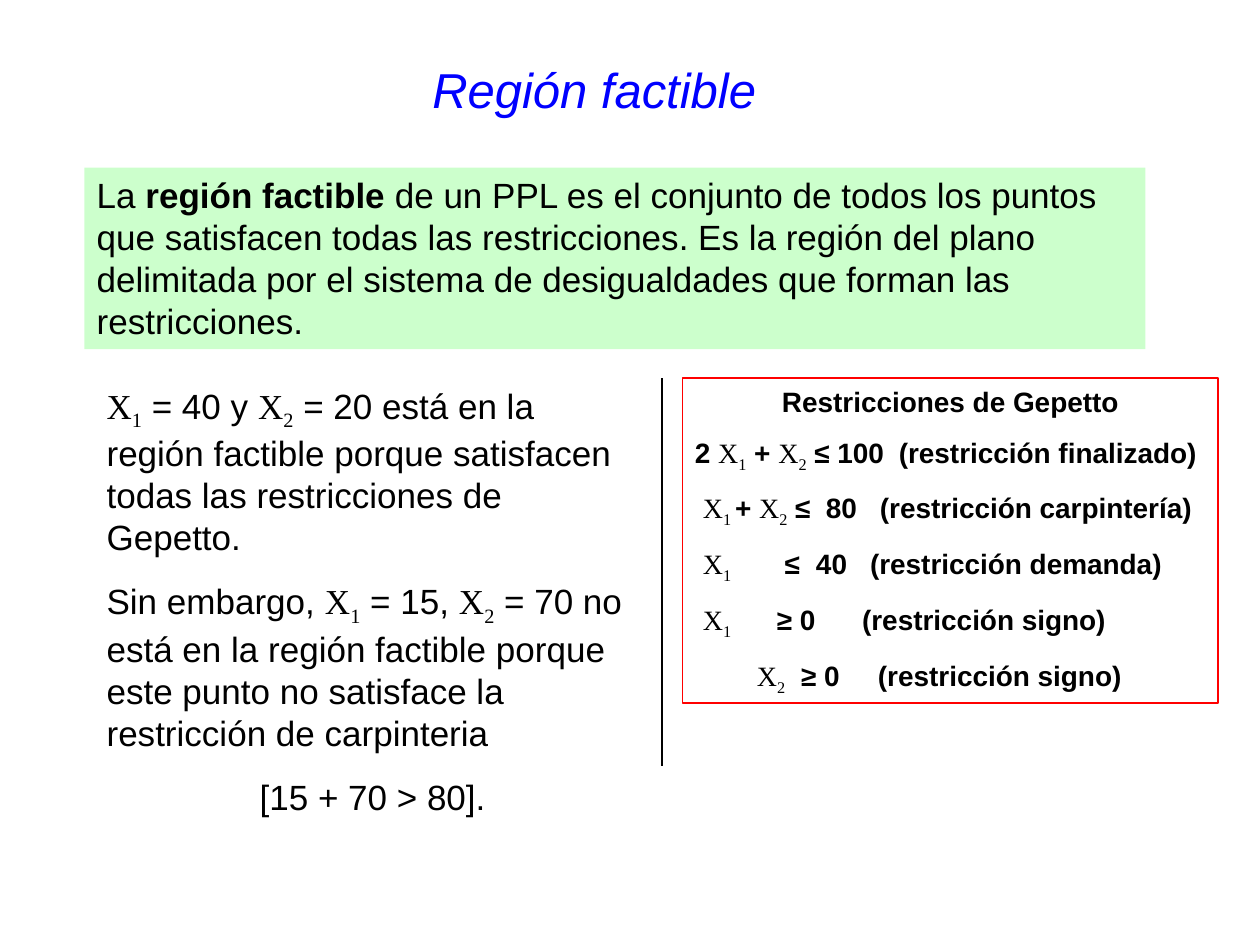
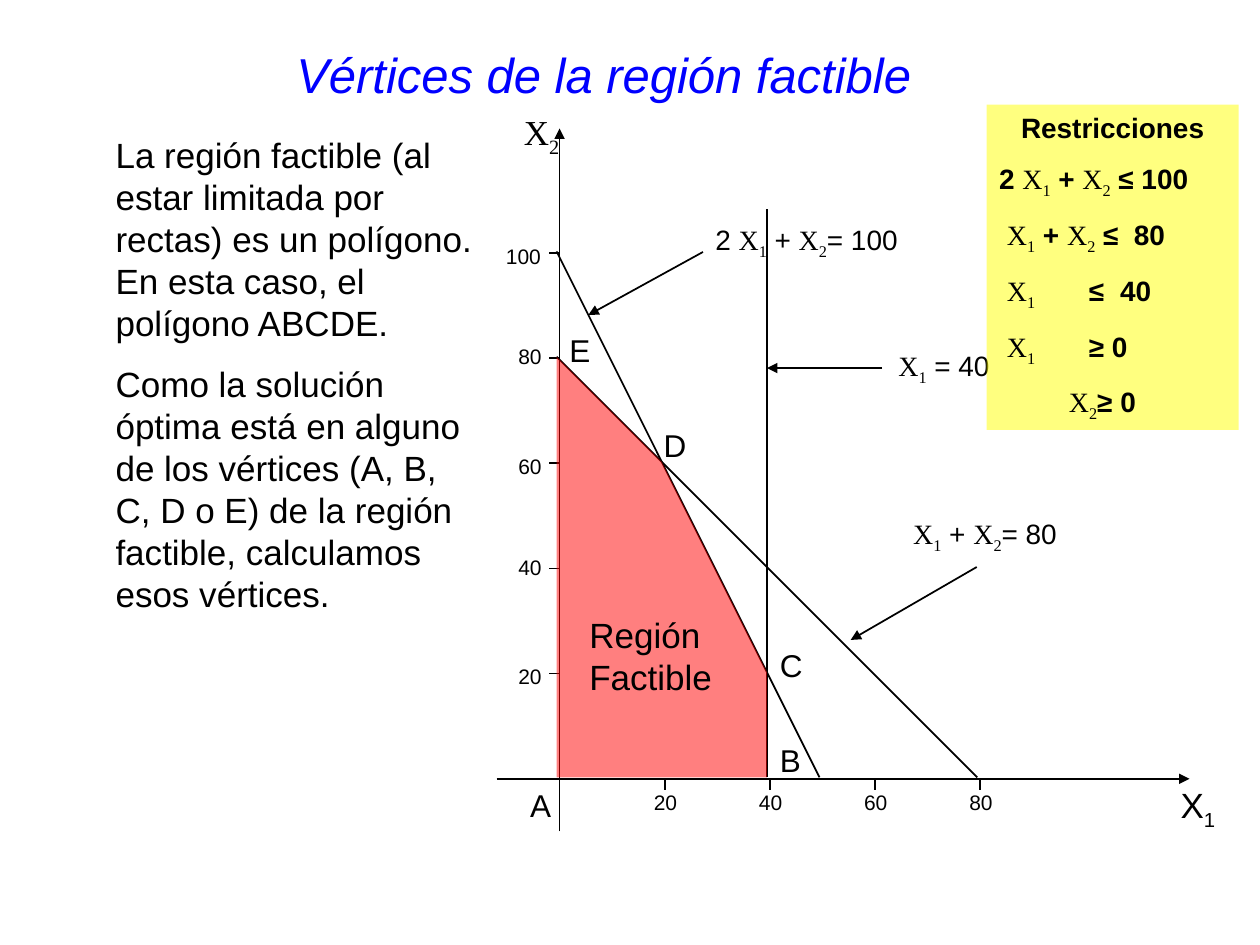
"""Builds two slides on the feasible region of a linear programme."""
import pptx
import pptx.dml.color
import pptx.enum.shapes
import pptx.enum.text
import pptx.oxml.ns
import pptx.util
from lxml import etree

Cm = pptx.util.Cm
Pt = pptx.util.Pt

COLORS = {
    "text": "000000",
    "title": "0000FF",
    "definition": "00FF00",
    "frame": "FF0000",
    "region": "FF0000",
    "constraints": "FFFF00",
}
TEXT_FONT = "Arial"
VARIABLE_FONT = "Times New Roman"

AXIS_X, AXIS_Y = 11.28, 15.7
PLOT_X, PLOT_Y = 11.22, 15.67
TICK_STEP = 2.12
TICK_LENGTH = 0.22


def rgb(name):
    """Return the named colour."""
    return pptx.dml.color.RGBColor.from_string(COLORS[name])


def add_element(parent, tag, **attributes):
    """Append a DrawingML element to a parent."""
    return etree.SubElement(parent, pptx.oxml.ns.qn(tag), **attributes)


def add_run(paragraph, text, size, font=TEXT_FONT, bold=False, subscript=False):
    """Add one formatted run to a paragraph."""
    run = paragraph.add_run()
    run.text = text
    run.font.size = Pt(size)
    run.font.name = font
    run.font.bold = bold
    run.font.color.rgb = rgb("text")
    if subscript:
        run.font._element.set("baseline", "-25000")


def write_paragraph(paragraph, text, size, bold=False, variable_font=VARIABLE_FONT):
    """Write text in which |1| is the variable X1 and |word| is a bold word."""
    for index, piece in enumerate(text.split("|")):
        if index % 2 and piece.strip().isdigit():
            add_run(paragraph, "X", size, variable_font)
            add_run(paragraph, piece, size, variable_font, subscript=True)
        elif piece:
            add_run(paragraph, piece, size, bold=bold or index % 2 == 1)


def write_lines(shape, lines, size, space=0, wrap=True, **style):
    """Fill a shape with one paragraph per line and return the paragraphs."""
    frame = shape.text_frame
    frame.word_wrap = wrap
    frame.auto_size = pptx.enum.text.MSO_AUTO_SIZE.SHAPE_TO_FIT_TEXT
    frame.vertical_anchor = pptx.enum.text.MSO_ANCHOR.TOP
    for index, line in enumerate(lines):
        paragraph = frame.add_paragraph() if index else frame.paragraphs[0]
        paragraph.alignment = pptx.enum.text.PP_ALIGN.LEFT
        if index:
            paragraph.space_before = Pt(space)
        write_paragraph(paragraph, line, size, **style)
    return list(frame.paragraphs)


def add_text(slide, box, lines, size, **options):
    """Add a text box given as left, top, width and height in centimetres."""
    shape = slide.shapes.add_textbox(*map(Cm, box))
    return write_lines(shape, lines, size, **options)


def set_fill(shape, color, opacity):
    """Give a shape a translucent fill."""
    shape.fill.solid()
    shape.fill.fore_color.rgb = rgb(color)
    color_element = shape._element.spPr.find(".//" + pptx.oxml.ns.qn("a:srgbClr"))
    add_element(color_element, "a:alpha", val=str(opacity * 1000))


def add_panel(slide, box, fill=None, opacity=100, line=None):
    """Add a rectangle with an optional fill and outline."""
    shape = slide.shapes.add_shape(pptx.enum.shapes.MSO_SHAPE.RECTANGLE, *map(Cm, box))
    shape.shadow.inherit = False
    if line:
        shape.line.color.rgb = rgb(line)
        shape.line.width = Pt(1)
    else:
        shape.line.fill.background()
    if fill:
        set_fill(shape, fill, opacity)
    else:
        shape.fill.background()
    return shape


def add_line(slide, start, end, arrow=False):
    """Add a thin black line, with an arrowhead at its end if asked."""
    connector = slide.shapes.add_connector(
        pptx.enum.shapes.MSO_CONNECTOR.STRAIGHT, *map(Cm, (*start, *end)))
    connector.line.color.rgb = rgb("text")
    connector.line.width = Pt(1)
    if arrow:
        add_element(connector.line._get_or_add_ln(), "a:tailEnd", type="triangle")
    add_element(connector._element.spPr, "a:effectLst")


def add_constraints(shape, heading, rows):
    """Write a centred heading and rows, each with its tab stops in centimetres."""
    lines = [heading] + [text for text, stops in rows]
    paragraphs = write_lines(shape, lines, 16, space=10, bold=True)
    paragraphs[0].alignment = pptx.enum.text.PP_ALIGN.CENTER
    for paragraph, (text, stops) in zip(paragraphs[1:], rows):
        tab_list = add_element(paragraph._p.get_or_add_pPr(), "a:tabLst")
        for stop in stops:
            add_element(tab_list, "a:tab", pos=str(Cm(stop)), algn="l")


def add_titled_slide(presentation, title, box):
    """Add a title-only slide with its title placed and formatted."""
    slide = presentation.slides.add_slide(presentation.slide_layouts[5])
    shape = slide.shapes.title
    shape.left, shape.top, shape.width, shape.height = map(Cm, box)
    frame = shape.text_frame
    frame.text = title
    frame.word_wrap = True
    frame.auto_size = pptx.enum.text.MSO_AUTO_SIZE.NONE
    frame.vertical_anchor = pptx.enum.text.MSO_ANCHOR.TOP
    paragraph = frame.paragraphs[0]
    paragraph.alignment = pptx.enum.text.PP_ALIGN.LEFT
    font = paragraph.runs[0].font
    font.name = TEXT_FONT
    font.size = Pt(28)
    font.italic = True
    font.color.rgb = rgb("title")
    return slide


def plot_point(x1, x2):
    """Turn plot values into centimetres on the slide."""
    scale = TICK_STEP / 20
    return PLOT_X + x1 * scale, PLOT_Y - x2 * scale


def add_axes(slide):
    """Draw both axes with ticks, numbers and names."""
    add_line(slide, (AXIS_X, 16.76), (AXIS_X, 2.59), arrow=True)
    add_line(slide, (10.01, AXIS_Y), (23.98, AXIS_Y), arrow=True)
    for index in range(1, 5):
        x = AXIS_X + index * TICK_STEP
        add_line(slide, (x, AXIS_Y), (x, AXIS_Y + TICK_LENGTH))
        add_text(slide, (x - 0.47, 15.8, 1.1, 0.76), [str(20 * index)], 12, wrap=False)
    for index, top in enumerate((13.26, 11.05, 9.02, 6.81, 4.78), 1):
        y = AXIS_Y - index * TICK_STEP
        number = str(20 * index)
        width = 0.97 if len(number) == 2 else 1.22
        add_line(slide, (AXIS_X, y), (AXIS_X - TICK_LENGTH, y))
        add_text(slide, (11.17 - width, top, width + 0.1, 0.76), [number], 12,
                 wrap=False)
    add_text(slide, (10.31, 2.11, 1.5, 1.22), ["|2|"], 20, wrap=False)
    add_text(slide, (23.55, 15.67, 1.6, 1.22), ["|1|"], 20, wrap=False,
             variable_font=TEXT_FONT)


def add_region(slide, vertices):
    """Draw the feasible region through its vertices."""
    points = [tuple(map(Cm, plot_point(*vertex))) for vertex in vertices]
    builder = slide.shapes.build_freeform(*points[0])
    builder.add_line_segments(points[1:], close=True)
    region = builder.convert_to_shape()
    region.shadow.inherit = False
    region.line.fill.background()
    set_fill(region, "region", 50)


def build_definition_slide(presentation):
    """Build the slide that defines the feasible region."""
    slide = add_titled_slide(presentation, "Región factible", (8.46, 1.07, 8.89, 1.57))
    examples = add_text(slide, (1.9, 7.62, 11.23, 8.99), [
        "|1| = 40 y |2| = 20 está en la región factible porque satisfacen todas "
        "las restricciones de Gepetto.",
        "Sin embargo, |1| = 15, |2| = 70 no está en la región factible porque este "
        "punto no satisface la restricción de carpinteria",
        "[15 + 70 > 80].",
    ], 20, space=12.5)
    examples[-1].alignment = pptx.enum.text.PP_ALIGN.CENTER

    panel = add_panel(slide, (13.76, 7.62, 10.8, 6.56), line="frame")
    add_constraints(panel, "Restricciones de Gepetto", [
        ("2 |1| + |2| ≤ 100\t(restricción finalizado)", [4.11]),
        ("\t|1 |+ |2| ≤\t80\t(restricción carpintería)", [0.16, 2.64, 3.73]),
        ("\t|1|\t≤\t40\t(restricción demanda)", [0.16, 1.81, 2.44, 3.53]),
        ("\t|1|\t≥ 0\t(restricción signo)", [0.16, 1.65, 3.37]),
        ("\t|2|\t≥ 0\t(restricción signo)", [1.25, 2.14, 3.69]),
    ])

    definition = add_panel(slide, (1.7, 3.38, 21.39, 3.66), "definition", 20)
    write_lines(definition, [
        "La |región factible| de un PPL es el conjunto de todos los puntos que "
        "satisfacen todas las restricciones. Es la región del plano delimitada por "
        "el sistema de desigualdades que forman las restricciones."], 20)
    add_line(slide, (13.34, 7.62), (13.34, 15.44))


def build_vertices_slide(presentation):
    """Build the slide that plots the region and its vertices."""
    slide = add_titled_slide(
        presentation, "Vértices de la región factible", (5.72, 0.76, 13.77, 1.78))
    add_axes(slide)

    for start, end in (((50, 0), (0, 100)), ((80, 0), (0, 80)), ((40, 0), (40, 108))):
        add_line(slide, plot_point(*start), plot_point(*end))
    callouts = [
        ("2 |1| + |2|= 100", (14.17, 4.37, 4.6, 1.04), (14.17, 5.08), (11.86, 6.35)),
        ("|1| + |2|= 80", (18.16, 10.29, 4.47, 1.04), (19.69, 11.43), (17.15, 12.9)),
        ("|1| = 40", (17.86, 6.91, 2.6, 1.04), (17.78, 7.42), (15.46, 7.42)),
    ]
    for equation, box, start, end in callouts:
        add_text(slide, box, [equation], 16, wrap=False)
        add_line(slide, start, end, arrow=True)

    add_region(slide, [(0, 0), (0, 80), (20, 60), (40, 20), (40, 0)])
    add_text(slide, (11.63, 12.24, 3.6, 1.96), ["Región", "Factible"], 20, wrap=False)
    vertex_labels = {"A": (10.44, 15.72), "B": (15.47, 14.81), "C": (15.47, 12.9),
                     "D": (13.13, 8.46), "E": (11.23, 6.55)}
    for letter, position in vertex_labels.items():
        add_text(slide, (*position, 1.1, 1.02), [letter], 18, wrap=False)

    add_text(slide, (2.08, 2.57, 8.08, 4.5), [
        "La región factible (al estar limitada por rectas) es un polígono.",
        "En esta caso, el polígono ABCDE."], 20)
    add_text(slide, (2.08, 7.19, 7.87, 5.33), [
        "Como la solución óptima está en alguno de los vértices (A, B, C, D o E) de "
        "la región factible, calculamos esos vértices."], 20)

    panel = add_panel(slide, (19.89, 2.11, 5.08, 6.56), "constraints", 50)
    add_constraints(panel, "Restricciones", [
        ("2 |1| + |2| ≤ 100", []),
        ("\t|1| + |2| ≤\t80", [0.16, 2.72]),
        ("\t|1|\t≤\t40", [0.16, 1.81, 2.44]),
        ("\t|1|\t≥ 0", [0.16, 1.81]),
        ("\t|2|≥ 0", [1.41]),
    ])


def main():
    """Create the presentation and save it."""
    presentation = pptx.Presentation()
    presentation.slide_width = Cm(25.4)
    presentation.slide_height = Cm(19.05)
    build_definition_slide(presentation)
    build_vertices_slide(presentation)
    presentation.save("out.pptx")


if __name__ == "__main__":
    main()
